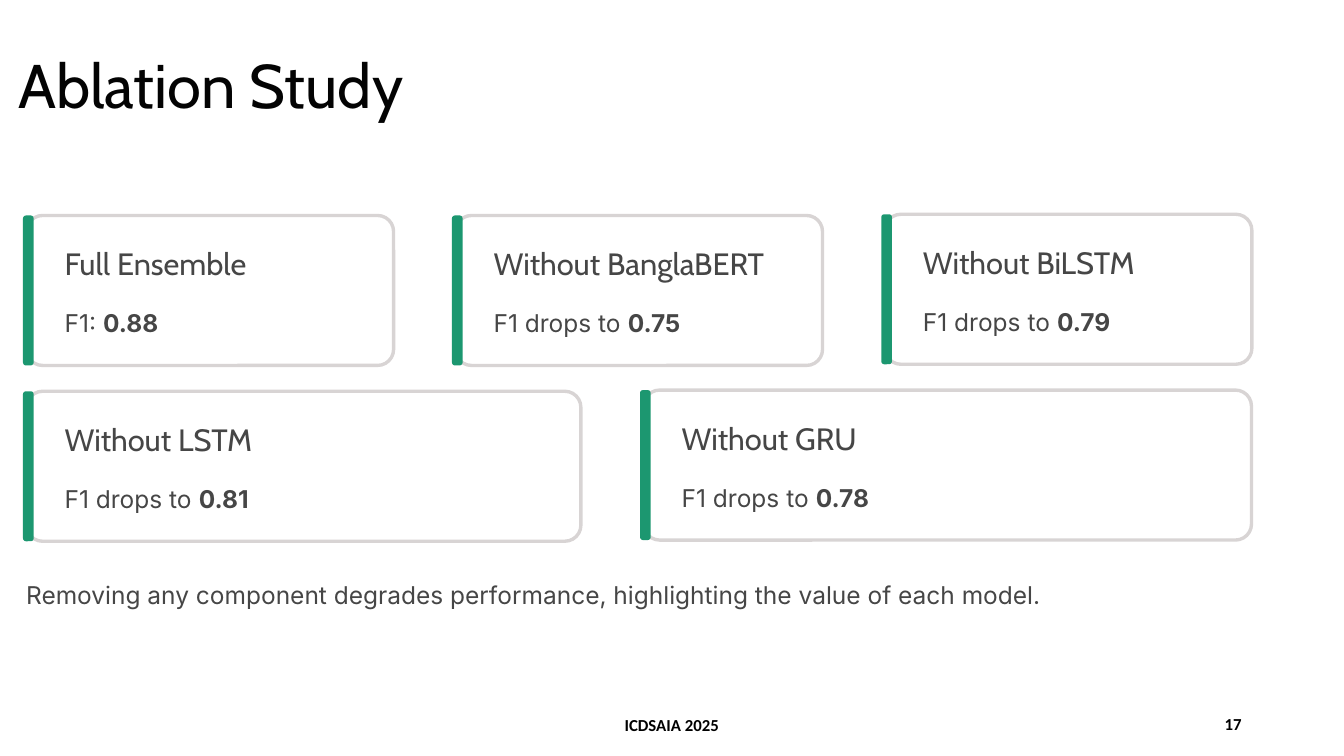
from dataclasses import dataclass

import pptx
import pptx.dml.color
import pptx.enum.shapes
import pptx.enum.text
import pptx.util

Cm = pptx.util.Cm
Pt = pptx.util.Pt
RGBColor = pptx.dml.color.RGBColor
PP_ALIGN = pptx.enum.text.PP_ALIGN
MSO_ANCHOR = pptx.enum.text.MSO_ANCHOR

BLACK = RGBColor(0x00, 0x00, 0x00)
TITLE_INK = RGBColor(0x03, 0x03, 0x03)
INK = RGBColor(0x46, 0x46, 0x46)
BORDER = RGBColor(0xD8, 0xD4, 0xD4)
GREEN = RGBColor(0x1C, 0x97, 0x70)

CARD_HEIGHT = 3.78
BAR_WIDTH = 0.27
FRAME_OFFSET = 0.09
TEXT_OFFSET = 1.05
HEADING_WIDTH = 7.9


@dataclass(frozen=True)
class Style:
    font: str
    size: float
    color: RGBColor
    spacing: float


@dataclass(frozen=True)
class Card:
    left: float
    top: float
    width: float
    text_width: float
    heading: str
    label: str
    score: str


@dataclass(frozen=True)
class Footer:
    left: float
    top: float
    width: float
    text: str
    align: PP_ALIGN


TITLE = Style("Cabin", 44, TITLE_INK, 55.5)
HEADING = Style("Cabin", 22, INK, 27.5)
BODY = Style("Inter", 17.5, INK, 28.5)

CARDS = [
    Card(0.58, 5.43, 9.25, 7.9, "Full Ensemble", "F1: ", "0.88"),
    Card(11.39, 5.43, 9.25, 7.9, "Without BanglaBERT", "F1 drops to ", "0.75"),
    Card(22.21, 5.4, 9.25, 7.9, "Without BiLSTM", "F1 drops to ", "0.79"),
    Card(0.58, 9.86, 13.97, 12.78, "Without LSTM", "F1 drops to ", "0.81"),
    Card(16.13, 9.83, 15.32, 12.78, "Without GRU", "F1 drops to ", "0.78"),
]

FOOTERS = [
    Footer(13.31, 17.75, 7.24, "ICDSAIA 2025", PP_ALIGN.CENTER),
    Footer(27.15, 17.73, 4.39, "17", PP_ALIGN.RIGHT),
]


def add_text(slide: pptx.slide.Slide, left: float, top: float, width: float,
             height: float, style: Style, text: str, bold_text: str = "") -> None:
    sp = slide.shapes.add_textbox(Cm(left), Cm(top), Cm(width), Cm(height))
    tf = sp.text_frame
    tf.word_wrap = False
    tf.margin_left = tf.margin_top = tf.margin_right = tf.margin_bottom = 0
    p = tf.paragraphs[0]
    p.line_spacing = Pt(style.spacing)
    p.font.name = style.font
    p.font.size = Pt(style.size)
    p.font.color.rgb = style.color
    p.add_run().text = text
    if bold_text:
        r = p.add_run()
        r.text = bold_text
        r.font.bold = True


def add_rounded(slide: pptx.slide.Slide, left: float, top: float, width: float,
                radius: float) -> pptx.shapes.autoshape.Shape:
    sp = slide.shapes.add_shape(
        pptx.enum.shapes.MSO_SHAPE.ROUNDED_RECTANGLE,
        Cm(left), Cm(top), Cm(width), Cm(CARD_HEIGHT))
    sp.adjustments[0] = radius
    sp.shadow.inherit = False
    return sp


def add_card(slide: pptx.slide.Slide, card: Card) -> None:
    frame = add_rounded(slide, card.left + FRAME_OFFSET, card.top, card.width, 0.107)
    frame.fill.background()
    frame.line.color.rgb = BORDER
    frame.line.width = Pt(2.4)

    bar = add_rounded(slide, card.left, card.top, BAR_WIDTH, 0.279)
    bar.fill.solid()
    bar.fill.fore_color.rgb = GREEN
    bar.line.fill.background()

    text_left = card.left + TEXT_OFFSET
    add_text(slide, text_left, card.top + 0.7, HEADING_WIDTH, 0.99, HEADING,
             card.heading)
    add_text(slide, text_left, card.top + 2.07, card.text_width, 1.02, BODY,
             card.label, card.score)


def add_footer(slide: pptx.slide.Slide, footer: Footer) -> None:
    sp = slide.shapes.add_textbox(Cm(footer.left), Cm(footer.top),
                                  Cm(footer.width), Cm(1.02))
    tf = sp.text_frame
    tf.word_wrap = True
    tf.vertical_anchor = MSO_ANCHOR.MIDDLE
    p = tf.paragraphs[0]
    p.text = footer.text
    p.alignment = footer.align
    p.font.name = "Calibri"
    p.font.size = Pt(12)
    p.font.bold = True
    p.font.color.rgb = BLACK


def main() -> None:
    prs = pptx.Presentation()
    prs.slide_width = Cm(33.87)
    prs.slide_height = Cm(19.05)
    slide = prs.slides.add_slide(prs.slide_layouts[6])

    # Title
    add_text(slide, 0.46, 1.09, 12.5, 1.96, TITLE, "Ablation Study")

    # Result cards
    for card in CARDS:
        add_card(slide, card)

    # Conclusion
    add_text(slide, 0.66, 14.35, 28.73, 1.02, BODY,
             "Removing any component degrades performance, "
             "highlighting the value of each model.")

    # Footer and slide number
    for footer in FOOTERS:
        add_footer(slide, footer)

    prs.save("out.pptx")


if __name__ == "__main__":
    main()
